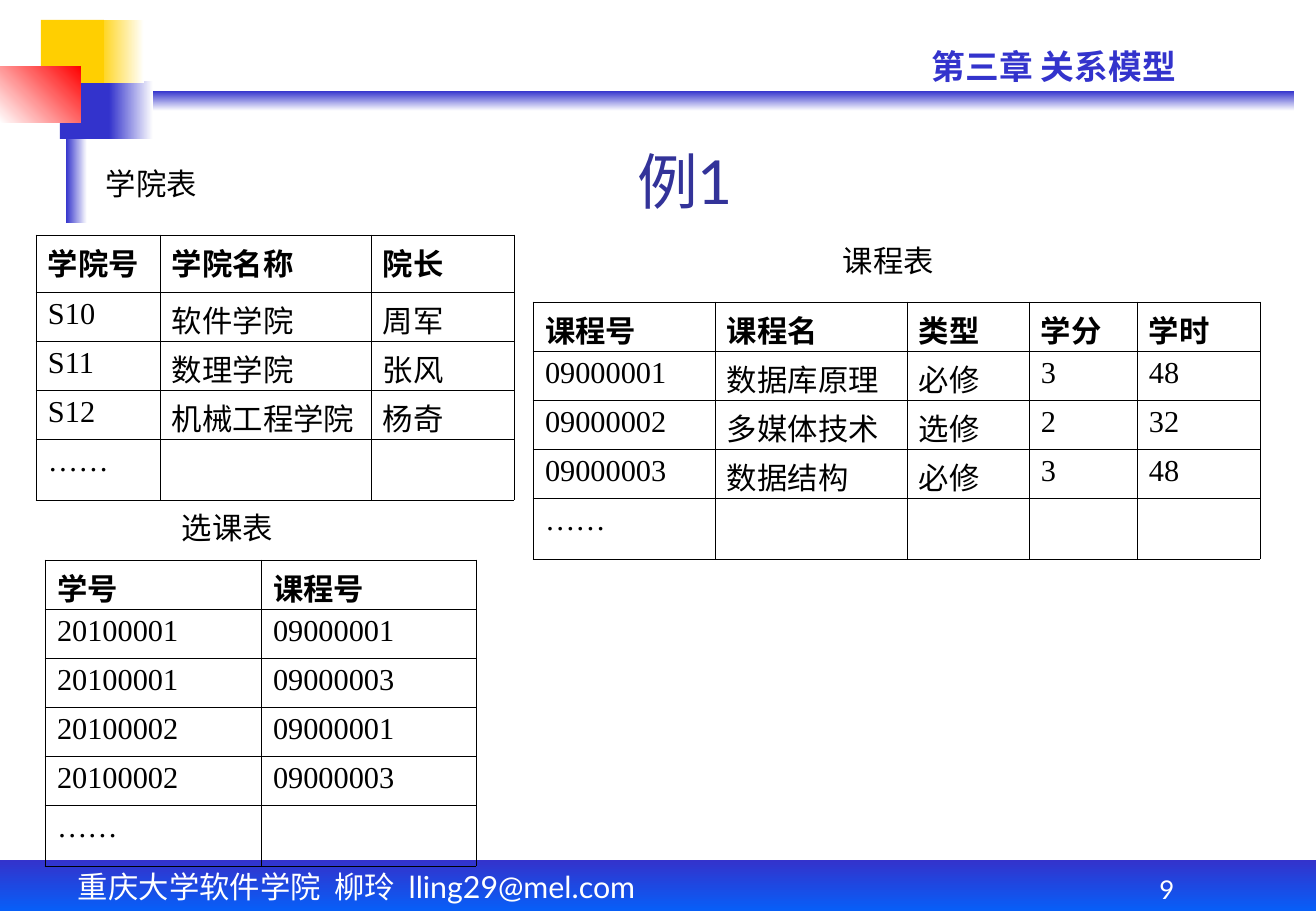
from lxml.etree import SubElement
from pptx import Presentation
from pptx.dml.color import RGBColor
from pptx.enum.shapes import MSO_SHAPE
from pptx.enum.text import MSO_ANCHOR, MSO_AUTO_SIZE, PP_ALIGN
from pptx.oxml import parse_xml
from pptx.oxml.ns import nsdecls, qn
from pptx.util import Pt

PX = 7532  # EMU per px
BLUE = RGBColor(0x33, 0x33, 0xCC)
BRIGHT_BLUE = RGBColor(0x00, 0x66, 0xFF)
TITLE_BLUE = RGBColor(0x33, 0x33, 0x99)
YELLOW = RGBColor(0xFF, 0xCF, 0x01)
RED = RGBColor(0xFF, 0x00, 0x00)
WHITE = RGBColor(0xFF, 0xFF, 0xFF)
BLACK = RGBColor(0x00, 0x00, 0x00)
CJK = "Noto Sans CJK SC"
LATIN = "Lato"
SERIF = "Times New Roman"


def set_font(paragraph, name, size, color, bold=False):
    """Format the paragraph, with one typeface for all Chinese characters."""
    font = paragraph.font
    font.name, font.size, font.bold = name, Pt(size), bold
    font.color.rgb = color
    defaults = paragraph._p.pPr.find(qn("a:defRPr"))
    SubElement(defaults, qn("a:ea")).set("typeface", CJK)


def add_text(box, text, name, size, color, anchor, bold=False, align=PP_ALIGN.LEFT, wrap=True):
    left, top, width, height = (v * PX for v in box)
    frame = slide.shapes.add_textbox(left, top, width, height).text_frame
    frame.word_wrap = wrap
    frame.vertical_anchor = anchor
    paragraph = frame.paragraphs[0]
    paragraph.text = text
    paragraph.alignment = align
    set_font(paragraph, name, size, color, bold)


prs = Presentation()
prs.slide_width, prs.slide_height = 1316 * PX, 911 * PX
slide = prs.slides.add_slide(prs.slide_layouts[5])

# Decoration: box, start colour, end colour, counter-clockwise angle
bands = [
    ((76, 91, 1218, 20), BLUE, WHITE, 270),
    ((109, 81, 44, 58), BLUE, WHITE, 0),
    ((0, 860, 1316, 60), BLUE, BRIGHT_BLUE, 270),
    ((66, 70, 21, 153), BLUE, WHITE, 0),
    ((60, 81, 49, 58), BLUE, BLUE, None),
    ((97, 20, 47, 63), YELLOW, WHITE, 0),
    ((41, 20, 63, 63), YELLOW, YELLOW, None),
    ((0, 66, 81, 57), WHITE, RED, 45),
]
for box, start, end, angle in bands:
    band = slide.shapes.add_shape(MSO_SHAPE.RECTANGLE, *(v * PX for v in box))
    band.shadow.inherit = False
    band.line.fill.background()
    if angle is None:
        band.fill.solid()
        band.fill.fore_color.rgb = start
    else:
        band.fill.gradient()
        band.fill.gradient_angle = angle
        for stop, color in zip(band.fill.gradient_stops, (start, end)):
            stop.color.rgb = color

add_text((66, 862, 734, 49), "重庆大学软件学院  柳玲  lling29@mel.com", LATIN, 18, WHITE, MSO_ANCHOR.TOP)
add_text((920, 40, 373, 53), "第三章 关系模型", LATIN, 20, BLUE, MSO_ANCHOR.TOP, bold=True)
add_text((1063, 860, 208, 51), "9", LATIN, 15.3, WHITE, MSO_ANCHOR.BOTTOM, align=PP_ALIGN.CENTER)

title = slide.shapes.title
title.left, title.top, title.width, title.height = (v * PX for v in (164, 142, 1042, 81))
title.text_frame.text = "例1"
title.text_frame.auto_size = MSO_AUTO_SIZE.NONE
title.text_frame.vertical_anchor = MSO_ANCHOR.BOTTOM
heading = title.text_frame.paragraphs[0]
heading.alignment = PP_ALIGN.CENTER
set_font(heading, LATIN, 36, TITLE_BLUE)

# Relations: caption, caption position, table position, column widths, header height, rows
relations = [
    ("学院表", (94, 159), (36, 235), (124, 211, 143), 57, [
        ("学院号", "学院名称", "院长"),
        ("S10", "软件学院", "周军"),
        ("S11", "数理学院", "张风"),
        ("S12", "机械工程学院", "杨奇"),
        ("……", "", ""),
    ]),
    ("课程表", (831, 236), (533, 302), (182, 192, 122, 108, 123), 49, [
        ("课程号", "课程名", "类型", "学分", "学时"),
        ("09000001", "数据库原理", "必修", "3", "48"),
        ("09000002", "多媒体技术", "选修", "2", "32"),
        ("09000003", "数据结构", "必修", "3", "48"),
        ("……", "", "", "", ""),
    ]),
    ("选课表", (170, 503), (45, 560), (216, 215), 49, [
        ("学号", "课程号"),
        ("20100001", "09000001"),
        ("20100001", "09000003"),
        ("20100002", "09000001"),
        ("20100002", "09000003"),
        ("……", ""),
    ]),
]
for caption, caption_at, (left, top), widths, header_height, rows in relations:
    add_text((*caption_at, 115, 49), caption, CJK, 18, BLACK, MSO_ANCHOR.MIDDLE, wrap=False)
    heights = [header_height] + [49] * (len(rows) - 2) + [61]
    table = slide.shapes.add_table(
        len(rows), len(widths), left * PX, top * PX, sum(widths) * PX, sum(heights) * PX
    ).table
    table.horz_banding = False
    for column, width in zip(table.columns, widths):
        column.width = width * PX
    for r, (height, row) in enumerate(zip(heights, rows)):
        table.rows[r].height = height * PX
        for c, value in enumerate(row):
            cell = table.cell(r, c)
            cell.margin_left = cell.margin_right = 12 * PX
            cell.margin_top, cell.margin_bottom = 5 * PX, 0
            cell.fill.background()
            for i, edge in enumerate(("lnL", "lnR", "lnT", "lnB")):
                cell._tc.tcPr.insert(i, parse_xml(
                    f'<a:{edge} {nsdecls("a")} w="{Pt(0.45)}"><a:solidFill>'
                    f'<a:srgbClr val="{BLACK}"/></a:solidFill></a:{edge}>'))
            paragraph = cell.text_frame.paragraphs[0]
            paragraph.text = value
            serif = value.isascii() or value == "……"
            set_font(paragraph, SERIF if serif else CJK, 18, BLACK, bold=r == 0)

prs.save("out.pptx")
